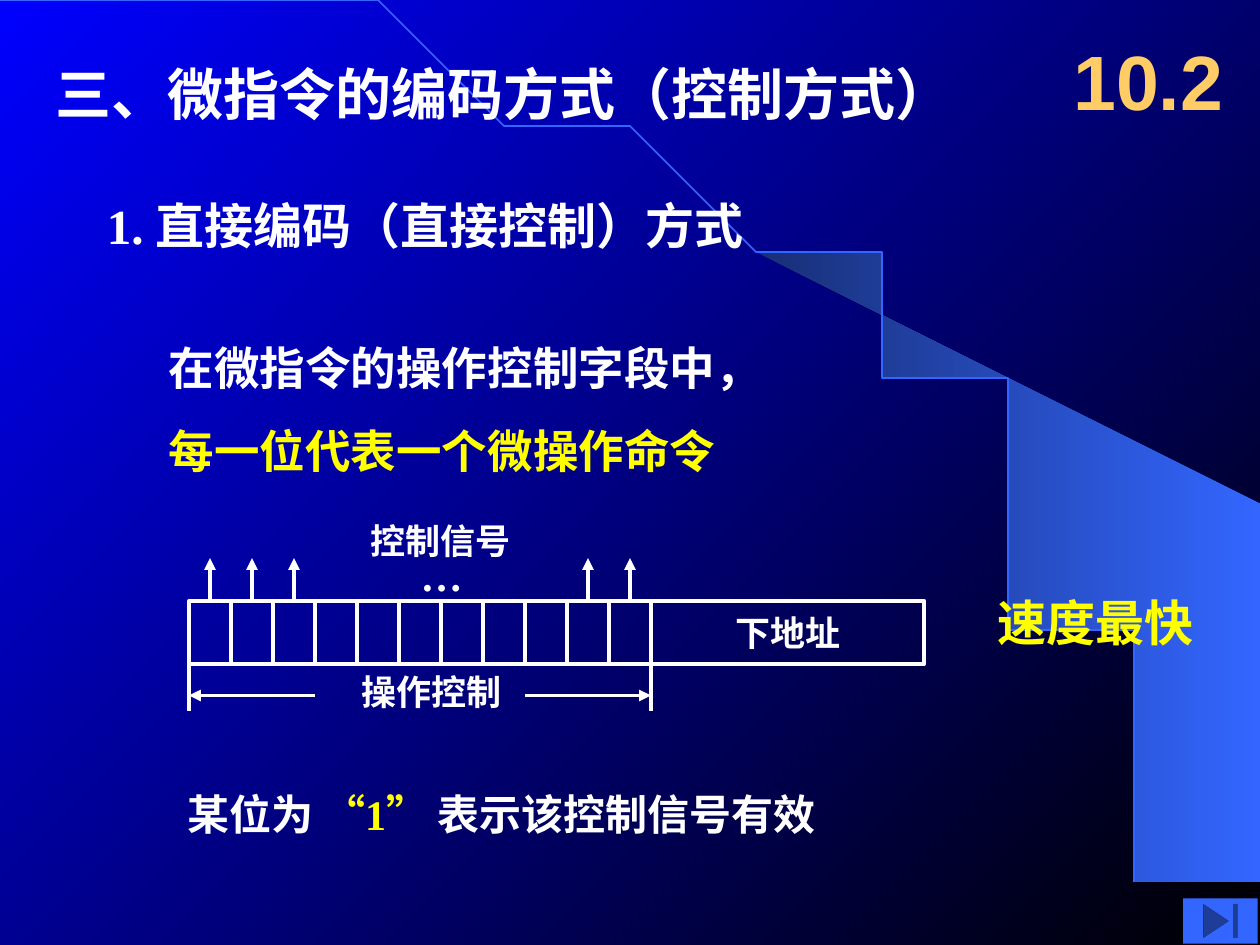
import dataclasses
import math

import pptx
import pptx.dml.color
import pptx.enum.dml
import pptx.enum.shapes
import pptx.enum.text
import pptx.oxml
import pptx.oxml.ns
import pptx.util

Inches = pptx.util.Inches
Pt = pptx.util.Pt
Preset = pptx.enum.shapes.MSO_SHAPE
Align = pptx.enum.text.PP_ALIGN
Anchor = pptx.enum.text.MSO_ANCHOR


@dataclasses.dataclass(frozen=True)
class Theme:
    white: str = "FFFFFF"
    yellow: str = "FFFF00"
    gold: str = "FFCC66"
    blue: str = "3366FF"
    dark_blue: str = "182F76"
    background: tuple = ("0000FF", "000000")
    sans: str = "DejaVu Sans"
    serif: str = "Times New Roman"
    number_font: str = "Arial"
    title: int = 32
    heading: int = 28
    body: int = 26
    note: int = 24
    label: int = 20
    number: int = 44
    line: float = 2.25


THEME = Theme()
ARC_WIDTH, ARC_HEIGHT = 9.2, 7.49
CELL_COUNT = 11
CELL_WIDTH = 1 / 3
FIELD_LEFT, FIELD_TOP, FIELD_HEIGHT = 1.5, 4.77, 0.5
FIELD_RIGHT = FIELD_LEFT + CELL_COUNT * CELL_WIDTH
FIELD_BOTTOM = FIELD_TOP + FIELD_HEIGHT
SIGNAL_CELLS = (0, 1, 2, 9, 10)


def rgb(color):
    return pptx.dml.color.RGBColor.from_string(color)


def set_gradient(fill, colors, angle):
    fill.gradient()
    fill.gradient_angle = angle
    for stop, color, position in zip(fill.gradient_stops, colors, (0, 1)):
        stop.color.rgb = rgb(color)
        stop.position = position


def place(shape, left, top, width, height):
    shape.left, shape.top = Inches(left), Inches(top)
    shape.width, shape.height = Inches(width), Inches(height)


def format_span(span, size, font, color):
    span.font.size = Pt(size)
    span.font.name = font
    span.font.bold = True
    span.font.color.rgb = rgb(color)


def write_spans(para, spans, size, font, align=Align.LEFT):
    para.alignment = align
    for text, color in spans:
        span = para.add_run()
        span.text = text
        format_span(span, size, font, color)


def add_label(page, area, spans, size, font, wrap=False):
    box = page.shapes.add_textbox(*map(Inches, area))
    box.text_frame.word_wrap = wrap
    write_spans(box.text_frame.paragraphs[0], spans, size, font)
    return box


def fill_placeholder(box, area, lines, size, wrap):
    box._element.getparent().append(box._element)
    place(box, *area)
    frame = box.text_frame
    frame.auto_size = pptx.enum.text.MSO_AUTO_SIZE.NONE
    frame.word_wrap = wrap
    frame.text = "\n".join(text for text, color in lines)
    for index, (para, (text, color)) in enumerate(zip(frame.paragraphs, lines)):
        properties = para._p.get_or_add_pPr()
        properties.set("marL", "0")
        properties.set("indent", "0")
        pptx.oxml.ns.qn("a:buNone")
        properties.append(pptx.oxml.parse_xml(
            '<a:buNone xmlns:a="http://schemas.openxmlformats.org/drawingml/2006/main"/>'))
        para.alignment = Align.LEFT
        para.space_before = Pt(16.2 if index else 0)
        format_span(para.runs[0], size, THEME.sans, color)


def add_line(page, start, end, arrow=False):
    line = page.shapes.add_connector(
        pptx.enum.shapes.MSO_CONNECTOR.STRAIGHT, *map(Inches, (*start, *end)))
    line.line.color.rgb = rgb(THEME.white)
    line.line.width = Pt(THEME.line)
    if arrow:
        tail = line.line._get_or_add_ln().makeelement(
            pptx.oxml.ns.qn("a:tailEnd"), {"type": "triangle"})
        line.line._get_or_add_ln().append(tail)
    properties = line._element.spPr
    properties.append(properties.makeelement(pptx.oxml.ns.qn("a:effectLst"), {}))


def add_cell(page, left, width):
    cell = page.shapes.add_shape(
        Preset.RECTANGLE, *map(Inches, (left, FIELD_TOP, width, FIELD_HEIGHT)))
    cell.shadow.inherit = False
    cell.fill.background()
    cell.line.color.rgb = rgb(THEME.white)
    cell.line.width = Pt(THEME.line)
    return cell


def arc_points(start_x, steps=60):
    start = math.asin(start_x / ARC_WIDTH)
    angles = [start + (math.pi / 2 - start) * step / steps for step in range(steps + 1)]
    return [(ARC_WIDTH * math.sin(angle), ARC_HEIGHT * (1 - math.cos(angle)))
            for angle in angles]


def add_outline(page, points, closed):
    builder = page.shapes.build_freeform(*points[0], scale=Inches(1))
    builder.add_line_segments(points[1:], close=closed)
    outline = builder.convert_to_shape()
    outline.shadow.inherit = False
    return outline


def add_backdrop(page):
    set_gradient(page.background.fill, THEME.background, 315)
    beam = add_outline(page, arc_points(5.89) + [(9.99, 7.49), (9.99, 4.23)], True)
    set_gradient(beam.fill, (THEME.dark_blue, THEME.blue), 0)
    beam.line.fill.background()
    arc = add_outline(page, arc_points(0), False)
    arc.fill.background()
    arc.line.color.rgb = rgb(THEME.blue)
    arc.line.width = Pt(1)


def add_instruction_format(page):
    for index in range(CELL_COUNT):
        add_cell(page, FIELD_LEFT + index * CELL_WIDTH, CELL_WIDTH)
    address = add_cell(page, FIELD_RIGHT, 2.17)
    address.text_frame.word_wrap = False
    address.text_frame.vertical_anchor = Anchor.MIDDLE
    write_spans(address.text_frame.paragraphs[0], [("下地址", THEME.white)],
                THEME.label, THEME.serif, Align.CENTER)
    for index in SIGNAL_CELLS:
        center = FIELD_LEFT + (index + 0.5) * CELL_WIDTH
        add_line(page, (center, FIELD_TOP), (center, 4.43), arrow=True)
    for edge, inward in ((FIELD_LEFT, 1), (FIELD_RIGHT, -1)):
        add_line(page, (edge, FIELD_BOTTOM), (edge, 5.64))
        add_line(page, (edge + inward, 5.52), (edge, 5.52), arrow=True)
    for text, area, size in (
        ("…", (3.24, 4.31, 0.53, 0.5), THEME.note),
        ("控制信号", (2.84, 4.07, 1.31, 0.44), THEME.label),
        ("操作控制", (2.77, 5.27, 1.31, 0.44), THEME.label),
    ):
        add_label(page, area, [(text, THEME.white)], size, THEME.serif)


def add_end_button(page):
    button = page.shapes.add_shape(
        Preset.ACTION_BUTTON_END, *map(Inches, (9.39, 7.13, 0.59, 0.36)))
    button.shadow.inherit = False
    button.fill.solid()
    button.fill.fore_color.rgb = rgb(THEME.blue)
    button.line.fill.background()


def main():
    deck = pptx.Presentation()
    deck.slide_width, deck.slide_height = Inches(10), Inches(7.5)
    page = deck.slides.add_slide(deck.slide_layouts[1])
    add_backdrop(page)
    fill_placeholder(page.shapes.title, (0.34, 0.42, 7.32, 0.64),
                     [("三、微指令的编码方式（控制方式）", THEME.white)], THEME.title, False)
    heading = add_label(page, (0.75, 1.5, 7.72, 0.57), [("1. ", THEME.white)],
                        THEME.heading, THEME.serif, wrap=True)
    write_spans(heading.text_frame.paragraphs[0],
                [("直接编码（直接控制）方式", THEME.white)], THEME.heading, THEME.sans)
    fill_placeholder(page.placeholders[1], (1.24, 2.65, 7.54, 1.19),
                     [("在微指令的操作控制字段中，", THEME.white),
                      ("每一位代表一个微操作命令", THEME.yellow)], THEME.body, True)
    add_label(page, (7.82, 4.65, 1.75, 0.57), [("速度最快", THEME.yellow)],
              THEME.heading, THEME.sans)
    add_instruction_format(page)
    add_label(page, (1.39, 6.21, 5.34, 0.5),
              [("某位为 ", THEME.white), ("“1”", THEME.yellow),
               (" 表示该控制信号有效", THEME.white)], THEME.note, THEME.serif)
    section = add_label(page, (8.42, 0.17, 1.58, 0.92), [("10.2", THEME.gold)],
                        THEME.number, THEME.number_font, wrap=True)
    section.text_frame.vertical_anchor = Anchor.MIDDLE
    add_end_button(page)
    deck.save("out.pptx")


if __name__ == "__main__":
    main()
